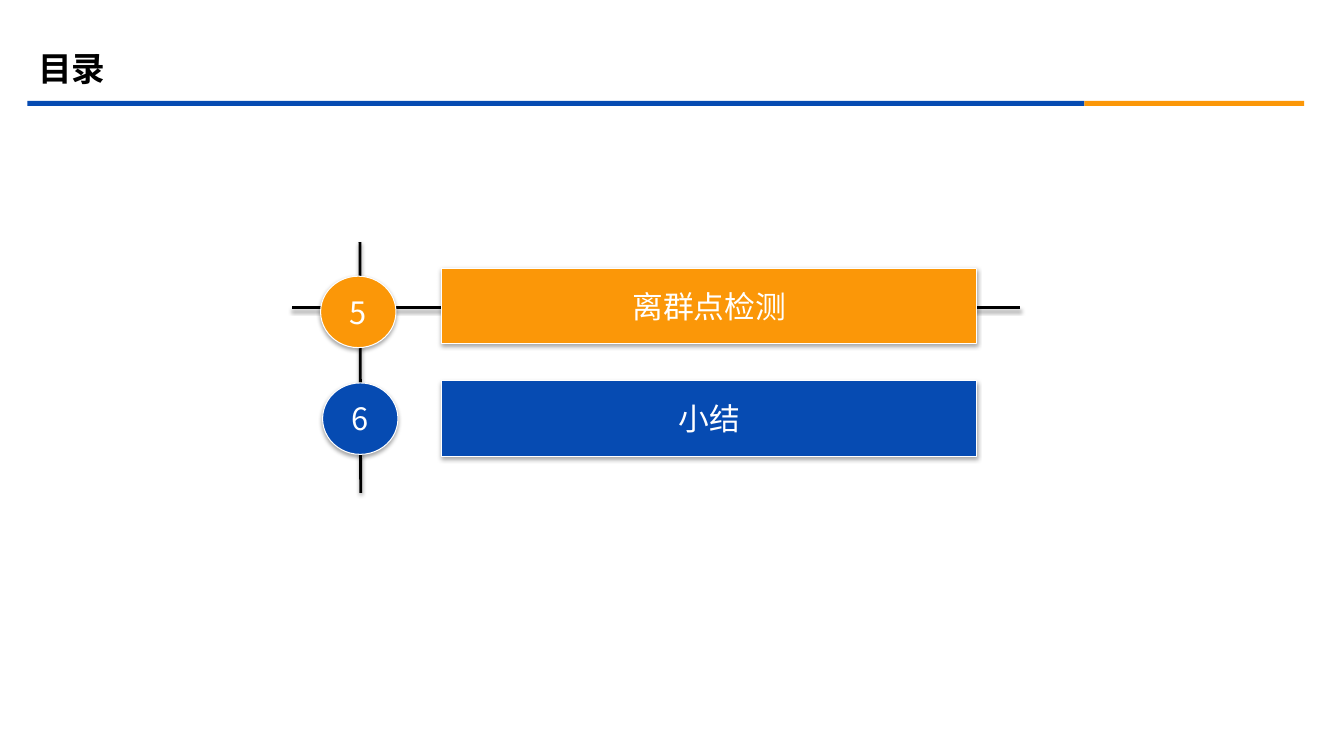
from dataclasses import dataclass

from lxml import etree
from pptx import Presentation
from pptx import util as u
from pptx.dml.color import RGBColor
from pptx.enum import shapes, text
from pptx.oxml import ns


@dataclass(frozen=True)
class Theme:
    blue: RGBColor = RGBColor(0x06, 0x4B, 0xB2)
    orange: RGBColor = RGBColor(0xFB, 0x97, 0x08)
    black: RGBColor = RGBColor(0, 0, 0)
    white: RGBColor = RGBColor(255, 255, 255)
    font: str = "Noto Sans CJK SC"
    title_size: u.Pt = u.Pt(24)
    label_size: u.Pt = u.Pt(22)


theme = Theme()


def write(box, words, size, color, bold=False):
    """Put one vertically centred paragraph into a box."""
    box.text_frame.vertical_anchor = text.MSO_ANCHOR.MIDDLE
    para = box.text_frame.paragraphs[0]
    para.text = words
    para.font.size = size
    para.font.bold = bold
    para.font.color.rgb = color
    para.font.name = theme.font
    defaults = para._p.pPr.find(ns.qn("a:defRPr"))
    etree.SubElement(defaults, ns.qn("a:ea"), typeface=theme.font)
    return para


def cast_shadow(item, distance, opacity):
    """Give a shape or connector a soft black shadow straight below it."""
    effects = etree.SubElement(item._element.spPr, ns.qn("a:effectLst"))
    shadow = etree.SubElement(
        effects, ns.qn("a:outerShdw"), blurRad=str(u.Pt(3.1)),
        dist=str(u.Pt(distance)), dir="5400000", rotWithShape="0")
    black = etree.SubElement(shadow, ns.qn("a:srgbClr"), val=str(theme.black))
    etree.SubElement(black, ns.qn("a:alpha"), val=str(opacity * 1000))


deck = Presentation()
deck.slide_width, deck.slide_height = u.Cm(33.87), u.Cm(19.05)
page = deck.slides.add_slide(deck.slide_layouts[6])

# Two-colour rule below the title
for left, width, color in ((0.69, 26.64, theme.blue), (27.33, 5.54, theme.orange)):
    rule = page.shapes.add_shape(
        shapes.MSO_SHAPE.RECTANGLE, u.Cm(left), u.Cm(2.54), u.Cm(width), u.Cm(0.13))
    rule.fill.solid()
    rule.fill.fore_color.rgb = color
    rule.line.fill.background()
    rule.shadow.inherit = False

# Title
title = page.shapes.add_textbox(u.Cm(0.71), u.Cm(0.99), u.Cm(30.48), u.Cm(1.47))
title.text_frame.word_wrap = True
write(title, "目录", theme.title_size, theme.black, bold=True)

# Crossing lines behind the entries
for ends in ((9.07, 6.1, 9.09, 12.42), (7.37, 7.75, 25.7, 7.75)):
    line = page.shapes.add_connector(
        shapes.MSO_CONNECTOR.STRAIGHT, *(u.Cm(end) for end in ends))
    line.line.color.rgb = theme.black
    line.line.width = u.Pt(2)
    cast_shadow(line, 1.6, 38)

# Entries: numbered circle and bar
entries = (
    ("5", 8.08, 6.96, "离群点检测", 6.76, theme.orange),
    ("6", 8.13, 9.65, "小结", 9.6, theme.blue),
)
for number, circle_left, circle_top, topic, bar_top, color in entries:
    circle = page.shapes.add_shape(
        shapes.MSO_SHAPE.OVAL, u.Cm(circle_left), u.Cm(circle_top), u.Cm(1.9), u.Cm(1.8))
    bar = page.shapes.add_shape(
        shapes.MSO_SHAPE.ACTION_BUTTON_CUSTOM,
        u.Cm(11.13), u.Cm(bar_top), u.Cm(13.49), u.Cm(1.9))
    for box, words in ((circle, number), (bar, topic)):
        box.fill.solid()
        box.fill.fore_color.rgb = color
        box.line.color.rgb = theme.white
        box.line.width = u.Pt(0.75)
        cast_shadow(box, 1.8, 35)
        box.text_frame.word_wrap = False
        para = write(box, words, theme.label_size, theme.white)
        para.alignment = text.PP_ALIGN.CENTER

deck.save("out.pptx")
